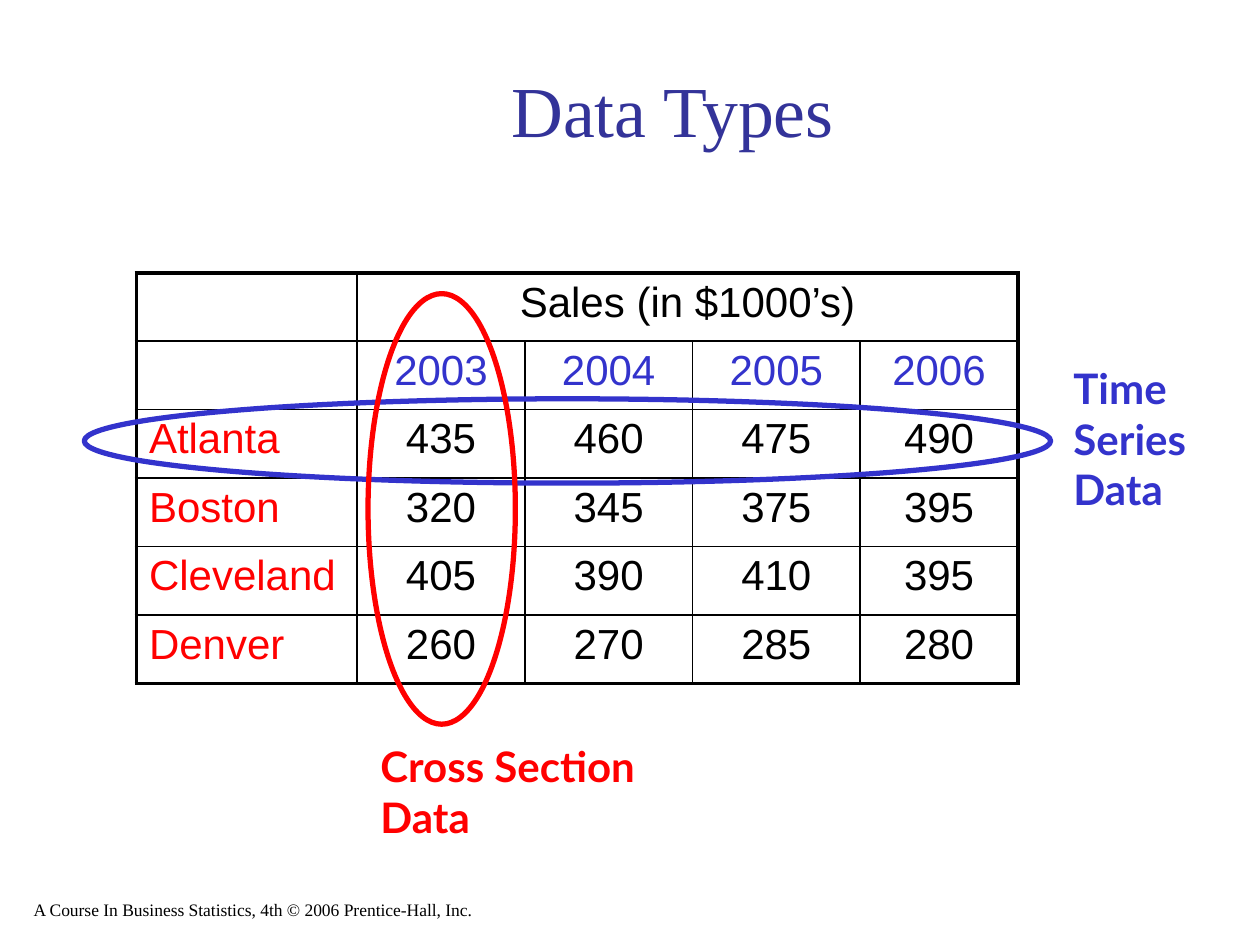
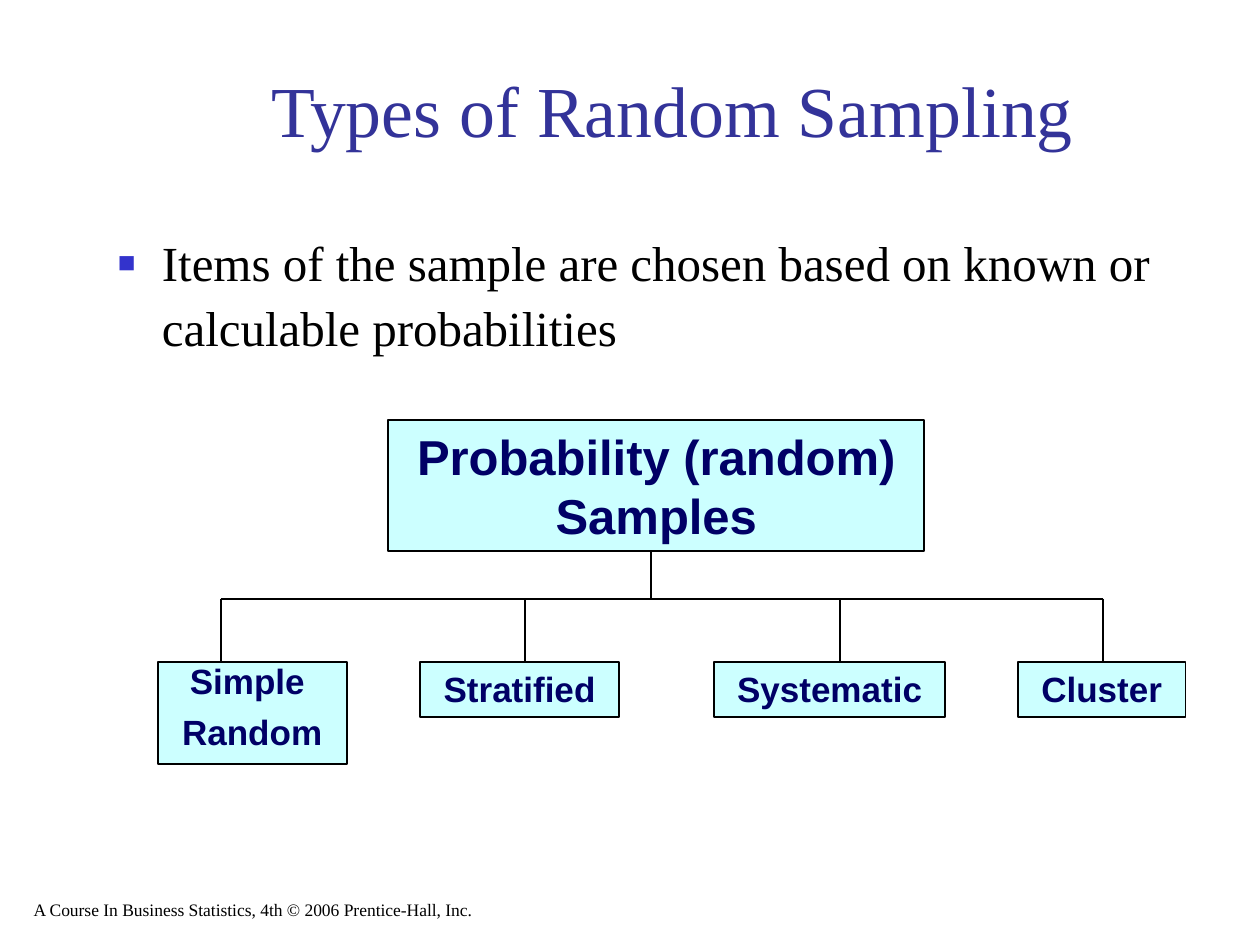
from dataclasses import dataclass

from lxml import etree
from pptx import Presentation
from pptx.dml.color import RGBColor
from pptx.enum.shapes import MSO_CONNECTOR, MSO_SHAPE
from pptx.enum.text import MSO_ANCHOR, MSO_AUTO_SIZE, PP_ALIGN
from pptx.oxml.ns import qn
from pptx.util import Cm, Pt

LEFT, CENTER = PP_ALIGN.LEFT, PP_ALIGN.CENTER
TOP, BOTTOM = MSO_ANCHOR.TOP, MSO_ANCHOR.BOTTOM
NO_AUTOFIT = MSO_AUTO_SIZE.NONE
STRAIGHT = MSO_CONNECTOR.STRAIGHT
OVAL, RECTANGLE = MSO_SHAPE.OVAL, MSO_SHAPE.RECTANGLE
TITLE_AND_BODY_LAYOUT, TITLE_ONLY_LAYOUT = 1, 5


@dataclass(frozen=True)
class TextStyle:
    font: str
    size: float
    color: str
    bold: bool = False


@dataclass(frozen=True)
class Theme:
    black: str = "000000"
    blue: str = "3333CC"
    red: str = "FF0000"
    box_fill: str = "CCFFFF"
    thin: float = 1
    frame: float = 2.25
    highlight: float = 3
    title: TextStyle = TextStyle("Times New Roman", 41, "333399")
    body: TextStyle = TextStyle("Times New Roman", 28, "000000")
    footer: TextStyle = TextStyle("Times New Roman", 10, "000000")
    value: TextStyle = TextStyle("Arial", 24, "000000")
    year: TextStyle = TextStyle("Arial", 24, "3333CC")
    city: TextStyle = TextStyle("Arial", 24, "FF0000")
    time_label: TextStyle = TextStyle("Lato", 24, "3333CC", True)
    section_label: TextStyle = TextStyle("Lato", 24, "FF0000", True)
    root: TextStyle = TextStyle("Arial", 28, "000066", True)
    leaf: TextStyle = TextStyle("Arial", 20, "000066", True)


@dataclass(frozen=True)
class Box:
    """A rectangle in centimetres."""
    left: float
    top: float
    width: float
    height: float

    def lengths(self):
        return Cm(self.left), Cm(self.top), Cm(self.width), Cm(self.height)

    def inner(self, left, top, width, height):
        """Return a box whose position is relative to this one."""
        return Box(self.left + left, self.top + top, width, height)


THEME = Theme()
TITLE_BOX = Box(2.74, 1.07, 21.64, 2.11)
FOOTER_BOX = Box(0.43, 17.78, 12.9, 0.89)
FOOTER_TEXT = "A Course In Business Statistics, 4th © 2006 Prentice-Hall, Inc."

YEARS = ["2003", "2004", "2005", "2006"]
SALES = {
    "Atlanta": [435, 460, 475, 490],
    "Boston": [320, 345, 375, 395],
    "Cleveland": [405, 390, 410, 395],
    "Denver": [260, 270, 285, 280],
}
COLUMN_WIDTHS = [4.45, 3.38, 3.38, 3.38, 3.18]

# Lines of text, left edge, width, height, and stem position of each leaf
SAMPLE_TYPES = [
    (["Simple ", "Random"], 0, 3.81, 2.06, 1.27),
    (["Stratified"], 5.29, 4.01, 1.12, 7.41),
    (["Systematic"], 11.22, 4.65, 1.12, 13.76),
    (["Cluster"], 17.34, 3.38, 1.12, 19.05),
]


def color(value):
    return RGBColor.from_string(value)


def write(paragraph, text, style, alignment=LEFT):
    paragraph.alignment = alignment
    run = paragraph.add_run()
    run.text = text
    run.font.name = style.font
    run.font.size = Pt(style.size)
    run.font.bold = style.bold
    run.font.color.rgb = color(style.color)


def place(shape, box):
    shape.left, shape.top, shape.width, shape.height = box.lengths()


def prepare_frame(shape, anchor=TOP):
    frame = shape.text_frame
    frame.word_wrap = True
    frame.auto_size = NO_AUTOFIT
    frame.vertical_anchor = anchor
    return frame


def add_label(slide, box, text, style, anchor=TOP):
    frame = prepare_frame(slide.shapes.add_textbox(*box.lengths()), anchor)
    write(frame.paragraphs[0], text, style)


def add_outlined_shape(slide, kind, box, line_color, line_width, fill=None):
    shape = slide.shapes.add_shape(kind, *box.lengths())
    shape.shadow.inherit = False
    shape.line.color.rgb = color(line_color)
    shape.line.width = Pt(line_width)
    if fill:
        shape.fill.solid()
        shape.fill.fore_color.rgb = color(fill)
    else:
        shape.fill.background()
    return shape


def add_line(slide, start, end):
    line = slide.shapes.add_connector(STRAIGHT, *map(Cm, start + end))
    line.line.color.rgb = color(THEME.black)
    line.line.width = Pt(THEME.thin)
    etree.SubElement(line._element.spPr, qn("a:effectLst"))


def add_base_slide(presentation, layout, title):
    """Add a slide with the shared footer and title."""
    slide = presentation.slides.add_slide(presentation.slide_layouts[layout])
    add_label(slide, FOOTER_BOX, FOOTER_TEXT, THEME.footer, BOTTOM)
    place(slide.shapes.title, TITLE_BOX)
    frame = prepare_frame(slide.shapes.title, BOTTOM)
    write(frame.paragraphs[0], title, THEME.title, CENTER)
    return slide


def set_cell_borders(cell, widths):
    properties = cell._tc.get_or_add_tcPr()
    for side, width in widths.items():
        line = etree.SubElement(properties, qn(f"a:ln{side}"), w=str(Pt(width)))
        fill = etree.SubElement(line, qn("a:solidFill"))
        etree.SubElement(fill, qn("a:srgbClr"), val=THEME.black)


def frame_table(table):
    """Draw thin inner lines and a heavier outer frame."""
    row_count, column_count = len(table.rows), len(table.columns)
    for row in range(row_count):
        for column in range(column_count):
            cell = table.cell(row, column)
            if cell.is_spanned:
                continue
            last_column = column + (cell.span_width if cell.is_merge_origin else 1)
            on_edge = {
                "L": column == 0,
                "R": last_column == column_count,
                "T": row == 0,
                "B": row == row_count - 1,
            }
            set_cell_borders(cell, {side: THEME.frame if outer else THEME.thin
                                    for side, outer in on_edge.items()})
            cell.fill.background()


def add_sales_table(slide, box):
    row_count = len(SALES) + 2
    table = slide.shapes.add_table(
        row_count, len(COLUMN_WIDTHS), *box.lengths()).table
    table.first_row = table.horz_banding = False
    for column, width in zip(table.columns, COLUMN_WIDTHS):
        column.width = Cm(width)
    for row in table.rows:
        row.height = Cm(box.height / row_count)

    def fill_cell(row, column, text, style, alignment=CENTER):
        paragraph = table.cell(row, column).text_frame.paragraphs[0]
        write(paragraph, text, style, alignment)

    table.cell(0, 1).merge(table.cell(0, len(YEARS)))
    fill_cell(0, 1, "Sales (in $1000’s)", THEME.value)
    for column, year in enumerate(YEARS, 1):
        fill_cell(1, column, year, THEME.year)
    for row, (city, values) in enumerate(SALES.items(), 2):
        fill_cell(row, 0, city, THEME.city, LEFT)
        for column, value in enumerate(values, 1):
            fill_cell(row, column, str(value), THEME.value)
    frame_table(table)


def add_highlights(slide, box):
    """Circle one row and one column of the table in the box and name them."""
    add_outlined_shape(slide, OVAL, box.inner(-1.05, 2.54, 19.48, 1.7),
                       THEME.blue, THEME.highlight)
    add_outlined_shape(slide, OVAL, box.inner(4.67, 0.42, 2.97, 8.68),
                       THEME.red, THEME.highlight)
    add_label(slide, box.inner(18.64, 1.69, 3.18, 3.3),
              "Time Series Data", THEME.time_label)
    add_label(slide, box.inner(4.67, 9.31, 6.35, 2.29),
              "Cross Section Data", THEME.section_label)


def add_bullet(paragraph):
    properties = paragraph._p.get_or_add_pPr()
    properties.set("marL", str(Cm(0.89)))
    properties.set("indent", str(Cm(-0.89)))
    bullet_color = etree.SubElement(properties, qn("a:buClr"))
    etree.SubElement(bullet_color, qn("a:srgbClr"), val=THEME.blue)
    etree.SubElement(properties, qn("a:buSzPct"), val="60000")
    etree.SubElement(properties, qn("a:buChar"), char="■")


def fill_body(slide, box, text):
    body = slide.placeholders[1]
    place(body, box)
    paragraph = prepare_frame(body).paragraphs[0]
    add_bullet(paragraph)
    paragraph.line_spacing = 1.1
    paragraph.space_before = Pt(0)
    write(paragraph, text, THEME.body)


def add_tree_node(slide, box, lines, style):
    node = add_outlined_shape(slide, RECTANGLE, box, THEME.black, THEME.thin,
                              THEME.box_fill)
    frame = prepare_frame(node)
    for index, text in enumerate(lines):
        paragraph = frame.add_paragraph() if index else frame.paragraphs[0]
        if len(lines) > 1:
            paragraph.line_spacing = 0.8
        if index:
            paragraph.space_before = Pt(style.size / 2)
        write(paragraph, text, style, CENTER)


def add_sample_tree(slide, box):
    root = box.inner(4.65, 0, 10.8, 2.64)
    trunk = box.left + 9.95
    bar = box.top + 3.6
    leaf_top = 4.87
    stems = [box.left + sample[-1] for sample in SAMPLE_TYPES]

    add_line(slide, (trunk, root.top + root.height), (trunk, bar))
    add_line(slide, (stems[0], bar), (stems[-1], bar))
    add_tree_node(slide, root, ["Probability (random) Samples"], THEME.root)
    for stem, (lines, left, width, height, _) in zip(stems, SAMPLE_TYPES):
        add_line(slide, (stem, bar), (stem, box.top + leaf_top))
        add_tree_node(slide, box.inner(left, leaf_top, width, height),
                      lines, THEME.leaf)


def add_data_types_slide(presentation):
    slide = add_base_slide(presentation, TITLE_ONLY_LAYOUT, "Data Types")
    table_box = Box(2.75, 5.5, sum(COLUMN_WIDTHS), 8.28)
    add_sales_table(slide, table_box)
    add_highlights(slide, table_box)


def add_random_sampling_slide(presentation):
    slide = add_base_slide(presentation, TITLE_AND_BODY_LAYOUT,
                           "Types of Random Sampling")
    fill_body(slide, Box(2.12, 4.45, 22.43, 11.43),
              "Items of the sample are chosen based on known or "
              "calculable probabilities")
    add_sample_tree(slide, Box(3.18, 8.47, 20.72, 6.93))


def main():
    presentation = Presentation()
    presentation.slide_width, presentation.slide_height = Cm(25.4), Cm(19.05)
    add_data_types_slide(presentation)
    add_random_sampling_slide(presentation)
    presentation.save("out.pptx")


if __name__ == "__main__":
    main()
